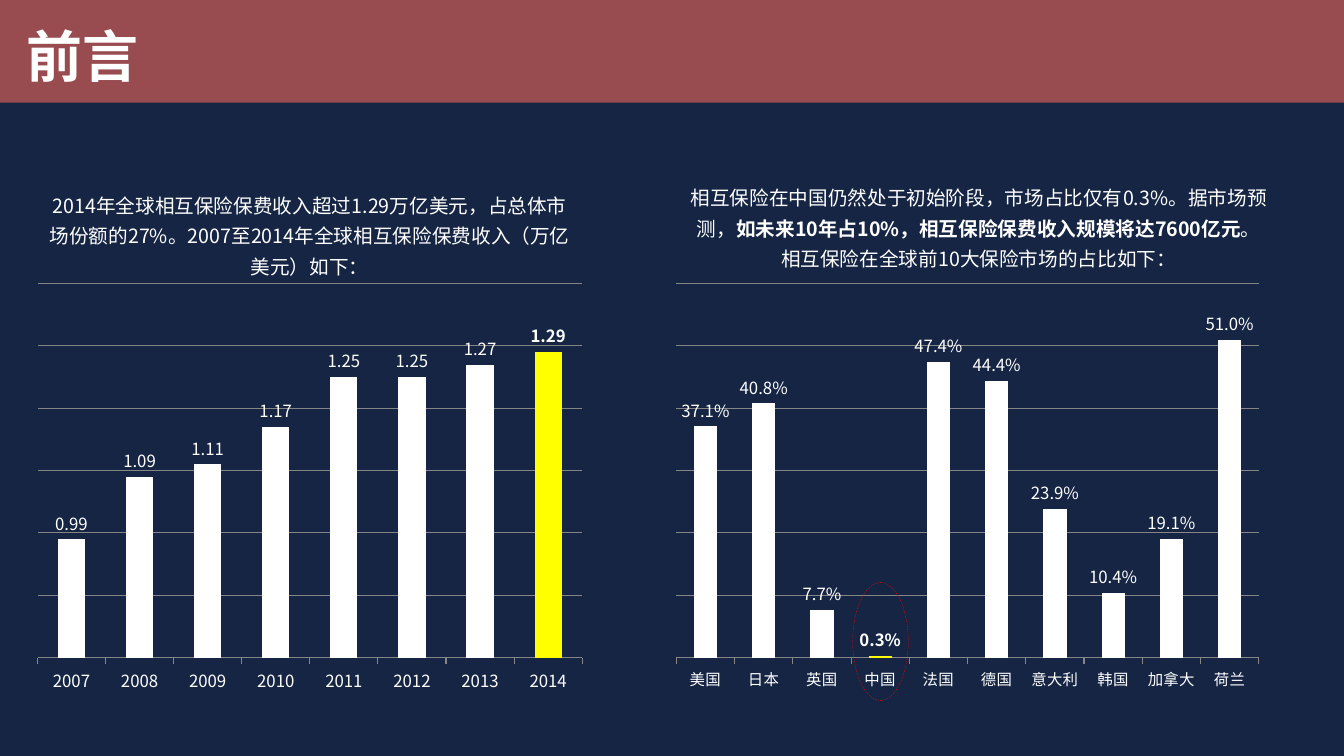
from dataclasses import dataclass

from lxml import etree
from pptx import Presentation
from pptx.chart.data import CategoryChartData
from pptx.dml.color import RGBColor
from pptx.enum.chart import XL_CHART_TYPE, XL_LABEL_POSITION, XL_TICK_MARK
from pptx.enum.dml import MSO_LINE
from pptx.enum.shapes import MSO_SHAPE
from pptx.enum.text import MSO_ANCHOR, MSO_AUTO_SIZE, PP_ALIGN
from pptx.oxml import parse_xml
from pptx.oxml.ns import nsdecls, qn
from pptx.slide import Slide
from pptx.text.text import Font
from pptx.util import Cm, Pt

NAVY = RGBColor(0x15, 0x25, 0x43)
BRICK = RGBColor(0x98, 0x4C, 0x50)
WHITE = RGBColor(0xFF, 0xFF, 0xFF)
YELLOW = RGBColor(0xFF, 0xFF, 0x00)
RED = RGBColor(0xFF, 0x00, 0x00)
GRAY = RGBColor(0x86, 0x86, 0x86)

COLUMNS = XL_CHART_TYPE.COLUMN_CLUSTERED
OUTSIDE_END = XL_LABEL_POSITION.OUTSIDE_END
TICK_OUTSIDE = XL_TICK_MARK.OUTSIDE
RECTANGLE = MSO_SHAPE.RECTANGLE
OVAL = MSO_SHAPE.OVAL
DASH = MSO_LINE.DASH
FIT_SHAPE = MSO_AUTO_SIZE.SHAPE_TO_FIT_TEXT
TOP = MSO_ANCHOR.TOP
LEFT = PP_ALIGN.LEFT
CENTER = PP_ALIGN.CENTER

BODY_FONT = "Noto Sans CJK SC"
TITLE_FONT = "Calibri"
SLIDE_WIDTH, SLIDE_HEIGHT = 33.87, 19.05


@dataclass(frozen=True)
class Box:
    """Left, top, width and height in centimetres."""
    left: float
    top: float
    width: float
    height: float

    def lengths(self) -> tuple[Cm, Cm, Cm, Cm]:
        return Cm(self.left), Cm(self.top), Cm(self.width), Cm(self.height)


@dataclass(frozen=True)
class Caption:
    box: Box
    passages: tuple[tuple[str, bool], ...]  # text and whether it is bold


@dataclass(frozen=True)
class ColumnChart:
    box: Box
    plot: Box  # fractions of the chart area
    values: dict[str, float]
    highlight: str
    minimum: float
    maximum: float
    number_format: str
    category_size: int


CAPTIONS = (
    Caption(Box(0.86, 4.57, 13.89, 2.62), (
        ("2014年全球相互保险保费收入超过1.29万亿美元，占总体市场份额的27%。"
         "2007至2014年全球相互保险保费收入（万亿美元）如下：", False),
    )),
    Caption(Box(17.12, 4.37, 15.09, 2.62), (
        ("相互保险在中国仍然处于初始阶段，市场占比仅有0.3%。据市场预测，", False),
        ("如未来10年占10%，相互保险保费收入规模将达7600亿元", True),
        ("。相互保险在全球前10大保险市场的占比如下：", False),
    )),
)

CHARTS = (
    ColumnChart(
        Box(0.66, 6.93, 14.3, 10.72), Box(0.02, 0.02, 0.96, 0.88),
        {"2007": 0.99, "2008": 1.09, "2009": 1.11, "2010": 1.17,
         "2011": 1.25, "2012": 1.25, "2013": 1.27, "2014": 1.29},
        "2014", 0.8, 1.4, "General", 12),
    ColumnChart(
        Box(16.74, 6.93, 15.29, 10.72), Box(0.02, 0.02, 0.96, 0.88),
        {"美国": 0.371, "日本": 0.408, "英国": 0.077, "中国": 0.003,
         "法国": 0.474, "德国": 0.444, "意大利": 0.239, "韩国": 0.104,
         "加拿大": 0.191, "荷兰": 0.51},
        "中国", 0, 0.6, "0.0%", 11),
)


def style_font(font: Font, size: int, bold: bool = False) -> None:
    font.size = Pt(size)
    font.bold = bold
    font.color.rgb = WHITE
    font.name = BODY_FONT
    # East Asian typeface follows the Latin one
    east_asian = etree.SubElement(font._element, qn("a:ea"))
    east_asian.set("typeface", BODY_FONT)


def add_title(slide: Slide) -> None:
    band = slide.shapes.add_shape(
        RECTANGLE, *Box(0, 0, SLIDE_WIDTH, 2.59).lengths())
    band.shadow.inherit = False
    band.fill.solid()
    band.fill.fore_color.rgb = BRICK
    band.line.fill.background()

    title = slide.shapes.title
    title._element.addprevious(band._element)
    title.left, title.top, title.width, title.height = Box(
        0.41, 0.41, 11.2, 1.96).lengths()
    text_frame = title.text_frame
    text_frame.text = "前言"
    text_frame.auto_size = FIT_SHAPE
    text_frame.vertical_anchor = TOP
    paragraph = text_frame.paragraphs[0]
    paragraph.alignment = LEFT
    font = paragraph.runs[0].font
    font.name = TITLE_FONT
    font.size = Pt(40)
    font.bold = True
    font.color.rgb = WHITE


def add_caption(slide: Slide, caption: Caption) -> None:
    text_frame = slide.shapes.add_textbox(*caption.box.lengths()).text_frame
    text_frame.word_wrap = True
    text_frame.auto_size = FIT_SHAPE
    paragraph = text_frame.paragraphs[0]
    paragraph.alignment = CENTER
    paragraph.line_spacing = Pt(22)
    for text, bold in caption.passages:
        run = paragraph.add_run()
        run.text = text
        style_font(run.font, 14, bold)


def add_column_chart(slide: Slide, column_chart: ColumnChart) -> None:
    data = CategoryChartData(number_format=column_chart.number_format)
    data.categories = list(column_chart.values)
    data.add_series("Series 1", list(column_chart.values.values()))
    chart = slide.shapes.add_chart(
        COLUMNS, *column_chart.box.lengths(), data).chart
    chart.has_legend = False
    chart.has_title = False
    style_font(chart.font, 12)

    # Axes and grid
    value_axis = chart.value_axis
    value_axis.visible = False
    value_axis.minimum_scale = column_chart.minimum
    value_axis.maximum_scale = column_chart.maximum
    value_axis.major_unit = 0.1
    value_axis.has_major_gridlines = True
    category_axis = chart.category_axis
    category_axis.major_tick_mark = TICK_OUTSIDE
    style_font(category_axis.tick_labels.font, column_chart.category_size)
    for line in (value_axis.major_gridlines.format.line,
                 category_axis.format.line):
        line.color.rgb = GRAY
        line.width = Pt(0.75)

    # Columns and their labels
    plot = chart.plots[0]
    plot.gap_width = 150
    plot.vary_by_categories = False
    series = plot.series[0]
    series.format.fill.solid()
    series.format.fill.fore_color.rgb = WHITE
    labels = series.data_labels
    labels.show_value = True
    labels.position = OUTSIDE_END
    labels.number_format = column_chart.number_format
    labels.number_format_is_linked = False
    style_font(labels.font, 12)
    point = series.points[list(column_chart.values).index(column_chart.highlight)]
    point.format.fill.solid()
    point.format.fill.fore_color.rgb = YELLOW
    style_font(point.data_label.font, 12, bold=True)
    point.data_label.position = OUTSIDE_END

    # Fixed inner plot area
    area = column_chart.plot
    plot_area = chart._chartSpace.chart.plotArea
    for layout in plot_area.findall(qn("c:layout")):
        plot_area.remove(layout)
    plot_area.insert(0, parse_xml(
        f'<c:layout {nsdecls("c")}><c:manualLayout>'
        '<c:layoutTarget val="inner"/><c:xMode val="edge"/><c:yMode val="edge"/>'
        f'<c:x val="{area.left}"/><c:y val="{area.top}"/>'
        f'<c:w val="{area.width}"/><c:h val="{area.height}"/>'
        '</c:manualLayout></c:layout>'))


def add_china_marker(slide: Slide) -> None:
    marker = slide.shapes.add_shape(OVAL, *Box(21.49, 14.68, 1.4, 2.97).lengths())
    marker.shadow.inherit = False
    marker.fill.background()
    marker.line.color.rgb = RED
    marker.line.width = Pt(0.25)
    marker.line.dash_style = DASH


def main() -> None:
    presentation = Presentation()
    presentation.slide_width = Cm(SLIDE_WIDTH)
    presentation.slide_height = Cm(SLIDE_HEIGHT)
    slide = presentation.slides.add_slide(presentation.slide_layouts[5])
    slide.background.fill.solid()
    slide.background.fill.fore_color.rgb = NAVY

    add_title(slide)
    for column_chart in CHARTS:
        add_column_chart(slide, column_chart)
    add_china_marker(slide)
    for caption in CAPTIONS:
        add_caption(slide, caption)
    presentation.save("out.pptx")


if __name__ == "__main__":
    main()
